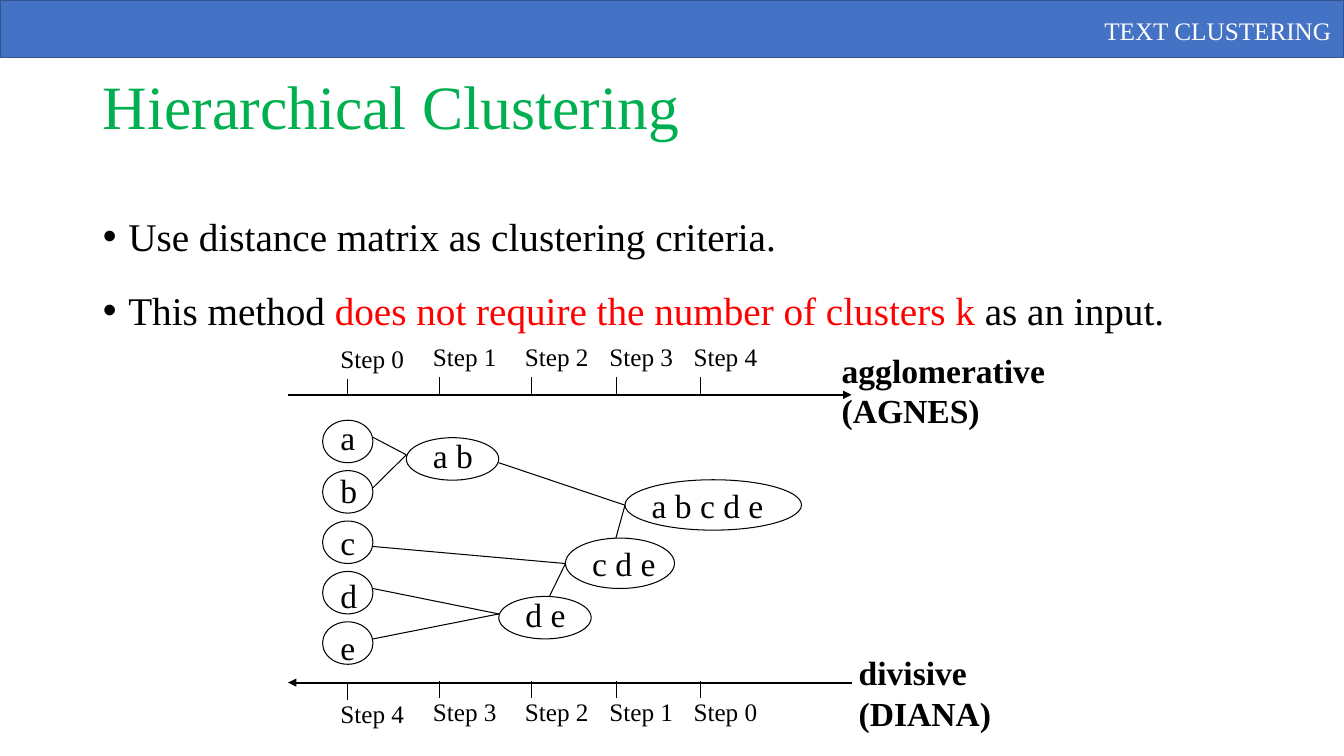
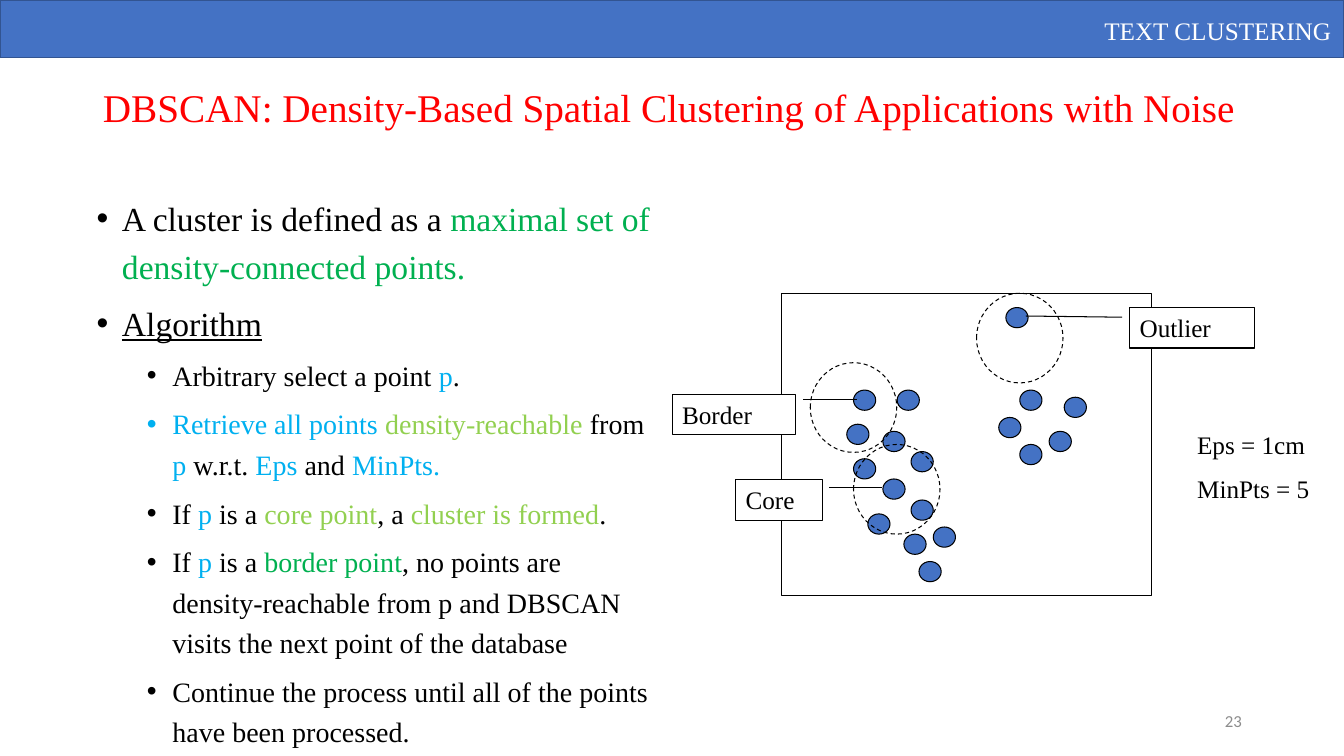
from lxml import etree
from pptx import Presentation
from pptx.dml.color import RGBColor
from pptx.enum.dml import MSO_LINE
from pptx.enum.shapes import MSO_CONNECTOR, MSO_SHAPE as SHAPE
from pptx.enum.text import MSO_ANCHOR as ANCHOR, MSO_AUTO_SIZE as AUTO, PP_ALIGN as ALIGN
from pptx.oxml.ns import qn
from pptx.util import Cm, Pt

C = {
    "black": "000000", "white": "FFFFFF", "red": "FF0000", "green": "00B050",
    "lime": "92D050", "sky": "00B0F0", "blue": "4472C4", "navy": "325491", "grey": "8C8C8C",
}
FONT = "Times New Roman"
SLIDE_W, SLIDE_H = 33.87, 19.05


def rgb(name):
    return RGBColor.from_string(C[name])


# ---- Text ----
def add_run(p, text, size, color="black", bold=False, underline=False, font=FONT):
    r = p.add_run()
    r.text = text
    f = r.font
    f.name, f.size, f.bold, f.underline = font, Pt(size), bold, underline
    f.color.rgb = rgb(color)


def add_text(slide, box, lines, size, color="black", bold=False, wrap=False,
             gap=0, align=ALIGN.LEFT, anchor=ANCHOR.TOP, font=FONT):
    tf = slide.shapes.add_textbox(*map(Cm, box)).text_frame
    tf.word_wrap = wrap
    tf.vertical_anchor = anchor
    for i, line in enumerate(lines):
        p = tf.paragraphs[0] if i == 0 else tf.add_paragraph()
        p.alignment = align
        p.space_before = Pt(gap if i else 0)
        add_run(p, line, size, color, bold, font=font)


def place(sp, box):
    sp.left, sp.top, sp.width, sp.height = map(Cm, box)
    sp.text_frame.auto_size = AUTO.NONE
    sp.text_frame.word_wrap = True
    return sp.text_frame


def set_bullet(p, margin):
    pPr = p._p.get_or_add_pPr()
    pPr.set("marL", str(Cm(margin)))
    pPr.set("indent", str(Cm(-0.64)))
    etree.SubElement(pPr, qn("a:buFont")).set("typeface", "Arial")
    etree.SubElement(pPr, qn("a:buChar")).set("char", "•")


def fill_list(sp, box, items, sizes, spacing, align=ALIGN.LEFT):
    """Each item is (level, runs); each run is (text, color, underline), the last two optional."""
    tf = place(sp, box)
    for i, (level, runs) in enumerate(items):
        p = tf.paragraphs[0] if i == 0 else tf.add_paragraph()
        p.level = level
        set_bullet(p, 0.64 + 1.27 * level)
        p.alignment = align
        p.line_spacing = spacing
        p.space_before = Pt(6 if i else 0)
        for text, *style in runs:
            color, underline = (style + ["black", False][len(style):])
            add_run(p, text, sizes[level], color, underline=underline)


# ---- Shapes and lines ----
def add_shape(slide, kind, box, fill=None, line="black", width=0.75, dash=None):
    sp = slide.shapes.add_shape(kind, *map(Cm, box))
    sp.shadow.inherit = False
    if fill:
        sp.fill.solid()
        sp.fill.fore_color.rgb = rgb(fill)
    else:
        sp.fill.background()
    sp.line.color.rgb = rgb(line)
    sp.line.width = Pt(width)
    if dash:
        sp.line.dash_style = dash
    return sp


def add_line(slide, x1, y1, x2, y2, width=0.75, arrow=False):
    cx = slide.shapes.add_connector(MSO_CONNECTOR.STRAIGHT, *map(Cm, (x1, y1, x2, y2)))
    cx.line.color.rgb = rgb("black")
    cx.line.width = Pt(width)
    if arrow:
        etree.SubElement(cx.line._get_or_add_ln(), qn("a:tailEnd")).set("type", "triangle")
    etree.SubElement(cx._element.spPr, qn("a:effectLst"))


def add_callout(slide, box, text, adjustments):
    sp = add_shape(slide, SHAPE.LINE_CALLOUT_1, box, fill="white")
    for i, value in enumerate(adjustments):
        sp.adjustments[i] = value
    tf = sp.text_frame
    tf.word_wrap = True
    tf.vertical_anchor = ANCHOR.TOP
    p = tf.paragraphs[0]
    p.alignment = ALIGN.LEFT
    add_run(p, text, 18)


# ---- Shared slide frame ----
def add_band(slide, layout):
    """Draw the top band and hand it to the layout, so every slide inherits it."""
    band = add_shape(slide, SHAPE.RECTANGLE, (0, 0, SLIDE_W, 1.45), "blue", "navy", 1)
    layout.shapes.element.insert(2, band.element)


def new_slide(prs, title, size, color):
    slide = prs.slides.add_slide(prs.slide_layouts[1])
    tf = place(slide.shapes.title, (2.34, 1.6, 29.2, 2.34))
    tf.vertical_anchor = ANCHOR.MIDDLE
    p = tf.paragraphs[0]
    p.alignment = ALIGN.LEFT
    p.line_spacing = 0.9
    add_run(p, title, size, color)
    add_text(slide, (27.58, 0.25, 6.3, 1.02), ["TEXT CLUSTERING"], 18, "white")
    return slide


# ---- Slide 1 ----
def add_step_axis(slide, start, end, y, tick_top, label_top, steps):
    add_line(slide, start, y, end, y, 1.5, arrow=True)
    for i, (x, step) in enumerate(zip((8.75, 11.08, 13.4, 15.53, 17.65), steps)):
        drop = 0 if i else 0.05
        add_line(slide, x, tick_top + drop, x, tick_top + drop + 0.42)
        add_text(slide, (x - 0.42, label_top + drop, 2.12, 1.02), [f"Step {step}"], 18)


def add_dendrogram(slide):
    # Single items
    for i, name in enumerate("abcde"):
        add_text(slide, (8.33, 10.39 + 1.32 * i, 0.9, 1.27), [name], 24)
        add_shape(slide, SHAPE.OVAL, (8.13, 10.59 + 1.27 * i, 1.27, 1.07))

    # Merged clusters: name, ellipse, text width
    clusters = [
        ("a b", (10.24, 11.03, 2.33, 1.07), 1.52),
        ("d e", (12.57, 15.03, 2.33, 1.07), 1.52),
        ("c d e", (14.25, 13.56, 2.75, 1.27), 2.11),
        ("a b c d e", (15.75, 12.09, 4.45, 1.27), 3.33),
    ]
    for name, (x, y, w, h), text_w in clusters:
        add_text(slide, (x + 0.42, y + h - 1.27, text_w, 1.27), [name], 24)
        add_shape(slide, SHAPE.OVAL, (x, y, w, h))

    # Links between items and clusters
    links = [
        (9.4, 11.02, 10.24, 11.46), (9.4, 12.29, 10.24, 11.46),
        (9.4, 14.83, 12.57, 15.47), (9.4, 16.1, 12.57, 15.47),
        (9.4, 13.77, 14.25, 14.2), (13.84, 15.04, 14.25, 14.2),
        (12.57, 11.66, 15.75, 12.73), (15.52, 13.56, 15.75, 12.73),
    ]
    for link in links:
        add_line(slide, *link)


def fill_hierarchical(slide):
    items = [
        (0, [("Use distance matrix as clustering criteria.",)]),
        (0, [("This method ",), ("does not require the number of clusters k", "red"),
             (" as an input. ",)]),
    ]
    fill_list(slide.placeholders[1], (2.34, 4.75, 29.2, 13.87), items, [28], 1.4, ALIGN.JUSTIFY)
    add_step_axis(slide, 7.26, 21.46, 9.95, 9.5, 8.48, range(5))
    add_dendrogram(slide)
    add_step_axis(slide, 21.46, 7.26, 17.2, 17.16, 17.42, range(4, -1, -1))
    add_text(slide, (20.96, 8.69, 5.64, 2.29), ["agglomerative", "(AGNES)"], 24, bold=True)
    add_text(slide, (21.39, 16.31, 3.86, 2.29), ["divisive", "(DIANA)"], 24, bold=True)


# ---- Slide 2 ----
def add_density_plot(slide):
    points = [
        (21.51, 9.83), (21.34, 10.69), (22.25, 10.87), (22.61, 9.83), (22.96, 11.38),
        (21.51, 11.56), (22.25, 12.07), (21.87, 12.95), (22.78, 13.46), (23.16, 14.15),
        (22.96, 12.6), (23.52, 13.28), (25.35, 7.75), (25.7, 9.83), (25.17, 10.52),
        (26.44, 10.87), (26.82, 10.01), (25.7, 11.2),
    ]
    for x, y in points:
        add_shape(slide, SHAPE.OVAL, (x, y, 0.56, 0.51), fill="blue")

    # Plot frame and neighbourhoods
    add_shape(slide, SHAPE.RECTANGLE, (19.69, 7.39, 9.32, 7.62))
    for x, y in [(20.42, 9.14), (21.51, 11.2), (24.61, 7.39)]:
        add_shape(slide, SHAPE.OVAL, (x, y, 2.18, 2.26), dash=MSO_LINE.DASH)

    # Point types
    add_callout(slide, (18.54, 12.09, 2.18, 1.02), "Core", (0.19, 1.08, 0.19, 1.69))
    add_callout(slide, (16.94, 9.93, 3.12, 1.02), "Border", (0.14, 1.06, 0.14, 1.49))
    add_callout(slide, (28.47, 7.75, 3.15, 1.02), "Outlier", (0.24, -0.06, 0.21, -0.83))


def fill_dbscan(slide):
    items = [
        (0, [("A cluster is defined as a ",),
             ("maximal set of density-connected points.", "green")]),
        (0, [("Algorithm", "black", True)]),
        (1, [("Arbitrary select a point ",), ("p", "sky"), (".",)]),
        (1, [("Retrieve all points ", "sky"), ("density-reachable", "lime"), (" from ",),
             ("p", "sky"), (" w.r.t. ",), ("Eps", "sky"), (" and ",), ("MinPts.", "sky")]),
        (1, [("If ",), ("p", "sky"), (" is a ",), ("core point", "lime"), (", a ",),
             ("cluster is formed", "lime"), (".",)]),
        (1, [("If ",), ("p", "sky"), (" is a ",), ("border point", "green"),
             (", no points are density-reachable from p and DBSCAN visits "
              "the next point of the database",)]),
        (1, [("Continue the process until all of the points have been processed.",)]),
    ]
    fill_list(slide.placeholders[1], (2.18, 4.65, 14.66, 11.25), items, [24, 20], 1.2)
    add_density_plot(slide)
    add_text(slide, (29.92, 10.69, 3.63, 2.18), ["Eps = 1cm", "MinPts = 5"], 18,
             wrap=True, gap=10)
    add_text(slide, (23.93, 17.65, 7.62, 1.02), ["23"], 12, "grey", wrap=True,
             align=ALIGN.RIGHT, anchor=ANCHOR.MIDDLE, font="Calibri")


def main():
    prs = Presentation()
    prs.slide_width, prs.slide_height = Cm(SLIDE_W), Cm(SLIDE_H)
    hierarchical = new_slide(prs, "Hierarchical Clustering", 44, "green")
    add_band(hierarchical, prs.slide_layouts[1])
    fill_hierarchical(hierarchical)
    dbscan = new_slide(
        prs, "DBSCAN: Density-Based Spatial Clustering of Applications with Noise", 28, "red")
    fill_dbscan(dbscan)
    prs.save("out.pptx")


if __name__ == "__main__":
    main()
